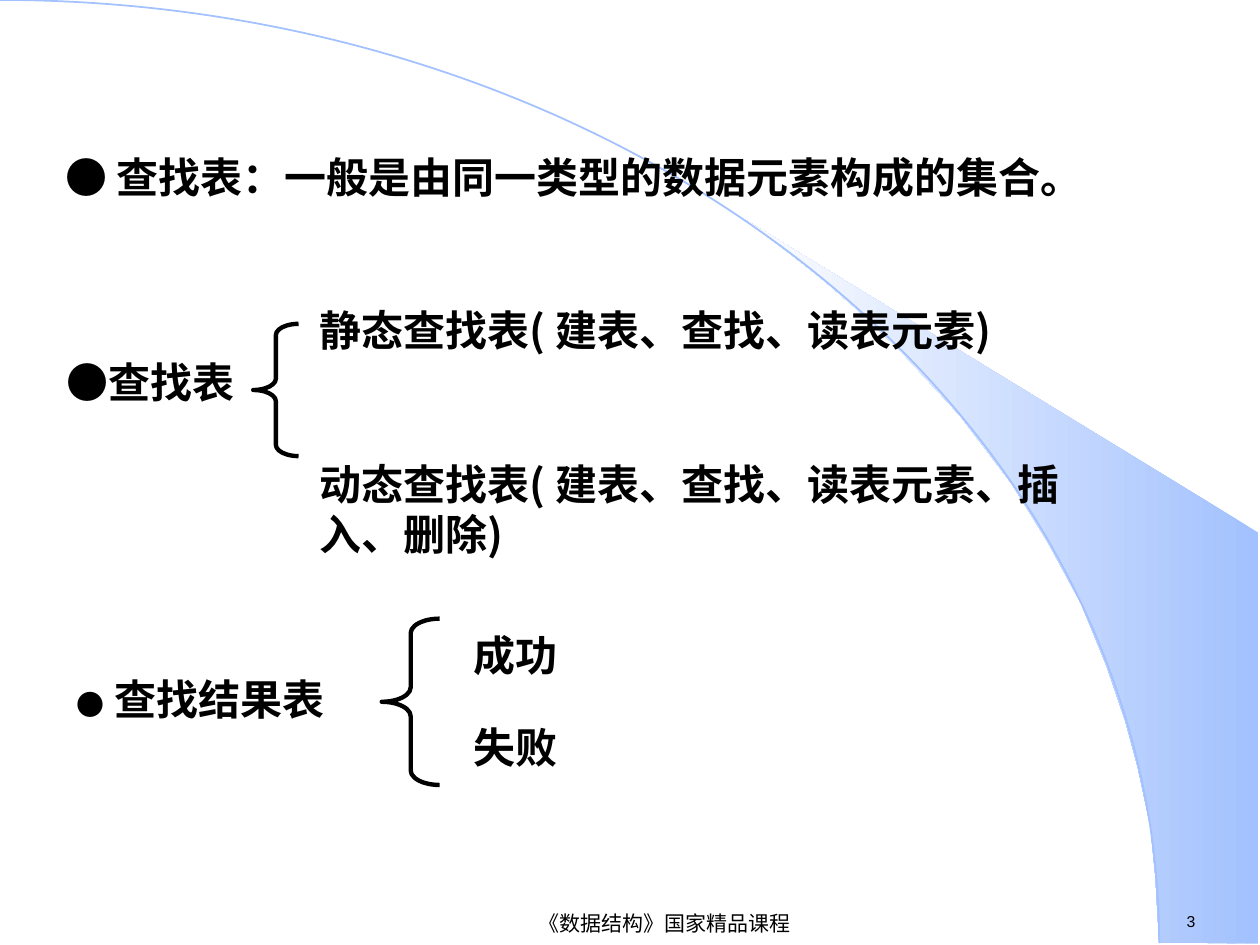
from lxml import etree
from pptx import Presentation
from pptx import util as u
from pptx.dml.color import RGBColor
from pptx.enum import shapes, text
from pptx.oxml import ns

COLORS = {"ink": "000000", "sky": "A2C1FE", "pale": "FEFEFE"}
SANS, SERIF, LABEL = "Noto Sans CJK SC", "Times New Roman", "Arial"

# Beam between the arc and the right edge of the slide
BEAM = [(9.2, 7.48), (9.99, 7.49), (9.99, 4.23), (5.89, 1.73), (6.24, 1.99),
        (6.53, 2.22), (6.85, 2.5), (7.16, 2.8), (7.62, 3.3), (8.03, 3.84),
        (8.32, 4.31), (8.58, 4.79), (8.78, 5.28), (8.93, 5.72), (9.03, 6.09),
        (9.13, 6.56), (9.17, 6.96)]


def color(name):
    return RGBColor.from_string(COLORS[name])


def inches(*values):
    return [u.Inches(value) for value in values]


def add_beam(slide):
    points = [inches(*point) for point in BEAM]
    builder = slide.shapes.build_freeform(*points[0])
    builder.add_line_segments(points[1:], close=True)
    shape = builder.convert_to_shape()
    shape.shadow.inherit = False
    shape.line.fill.background()
    shape.fill.gradient()
    shape.fill.gradient_angle = 180
    for stop, name in zip(shape.fill.gradient_stops, ("sky", "pale")):
        stop.color.rgb = color(name)


def add_outline(slide, kind, box, line_color, width):
    """Add an unfilled preset shape."""
    shape = slide.shapes.add_shape(kind, *inches(*box))
    shape.shadow.inherit = False
    shape.fill.background()
    shape.line.color.rgb = color(line_color)
    shape.line.width = u.Pt(width)
    return shape


def add_brace(slide, box):
    brace = add_outline(slide, shapes.MSO_SHAPE.LEFT_BRACE, box, "ink", 2.5)
    brace.adjustments[0] = 0.25


def add_text(slide, box, paragraphs, size=24, bold=True, spacing=None,
             gap=0, align=None, anchor=text.MSO_ANCHOR.TOP):
    """Each paragraph is a list of (text, font name, own formats) runs."""
    frame = slide.shapes.add_textbox(*inches(*box)).text_frame
    frame.word_wrap = True
    frame.vertical_anchor = anchor
    for index, runs in enumerate(paragraphs):
        paragraph = frame.add_paragraph() if index else frame.paragraphs[0]
        paragraph.alignment = align
        paragraph.line_spacing = spacing
        if index:
            paragraph.space_before = u.Pt(gap)
        paragraph.font.size = u.Pt(size)
        paragraph.font.bold = bold
        paragraph.font.color.rgb = color("ink")
        for words, font_name, formats in runs:
            run = paragraph.add_run()
            run.text = words
            font = run.font
            font.name = font_name
            font.size = u.Pt(formats.get("size", size))
            font.bold = formats.get("bold", bold)
            font.color.rgb = color("ink")
            # Chinese characters use the sans face
            east_asian = etree.SubElement(run._r.get_or_add_rPr(), ns.qn("a:ea"))
            east_asian.set("typeface", SANS)


def main():
    presentation = Presentation()
    presentation.slide_width, presentation.slide_height = inches(10, 7.5)
    slide = presentation.slides.add_slide(presentation.slide_layouts[6])

    # Background decoration
    add_beam(slide)
    add_outline(slide, shapes.MSO_SHAPE.ARC, (-9.2, 0, 18.4, 14.97), "sky", 1)

    # Footer
    add_text(slide, (9.32, 7.19, 0.6, 0.25), [[("3", LABEL, {})]],
             size=9, bold=False)
    add_text(slide, (2.4, 7.21, 5.75, 0.24),
             [[("《数据结构》国家精品课程", LABEL, {})]], size=12, bold=False,
             align=text.PP_ALIGN.CENTER, anchor=text.MSO_ANCHOR.MIDDLE)

    # Definition
    add_text(slide, (0.42, 1.03, 8.92, 0.87),
             [[("● ", SANS, {"bold": False}),
               ("查找表：一般是由同一类型的数据元素构成的集合。", SERIF, {})]],
             spacing=1.3)

    # Kinds of search table
    add_text(slide, (0.43, 2.78, 1.61, 0.5),
             [[("●", SANS, {}), ("查找表", SERIF, {})]])
    add_brace(slide, (2.01, 2.57, 0.36, 1.05))
    add_text(slide, (2.44, 2.37, 6.38, 2.12),
             [[("静态查找表( 建表、查找、读表元素)", SANS, {})],
              [("动态查找表( 建表、查找、读表元素、插入、删除)", SANS, {})]],
             gap=59)

    # Search results
    add_text(slide, (0.51, 5.3, 3.31, 0.5),
             [[("●", SANS, {"size": 16}), (" ", SANS, {}),
               ("查找结果表", SERIF, {})]])
    add_brace(slide, (3.03, 4.91, 0.46, 1.32))
    add_text(slide, (3.66, 4.83, 2.48, 1.35),
             [[("成功", SERIF, {})], [("失败", SERIF, {})]],
             spacing=1.3, gap=15)

    presentation.save("out.pptx")


if __name__ == "__main__":
    main()
